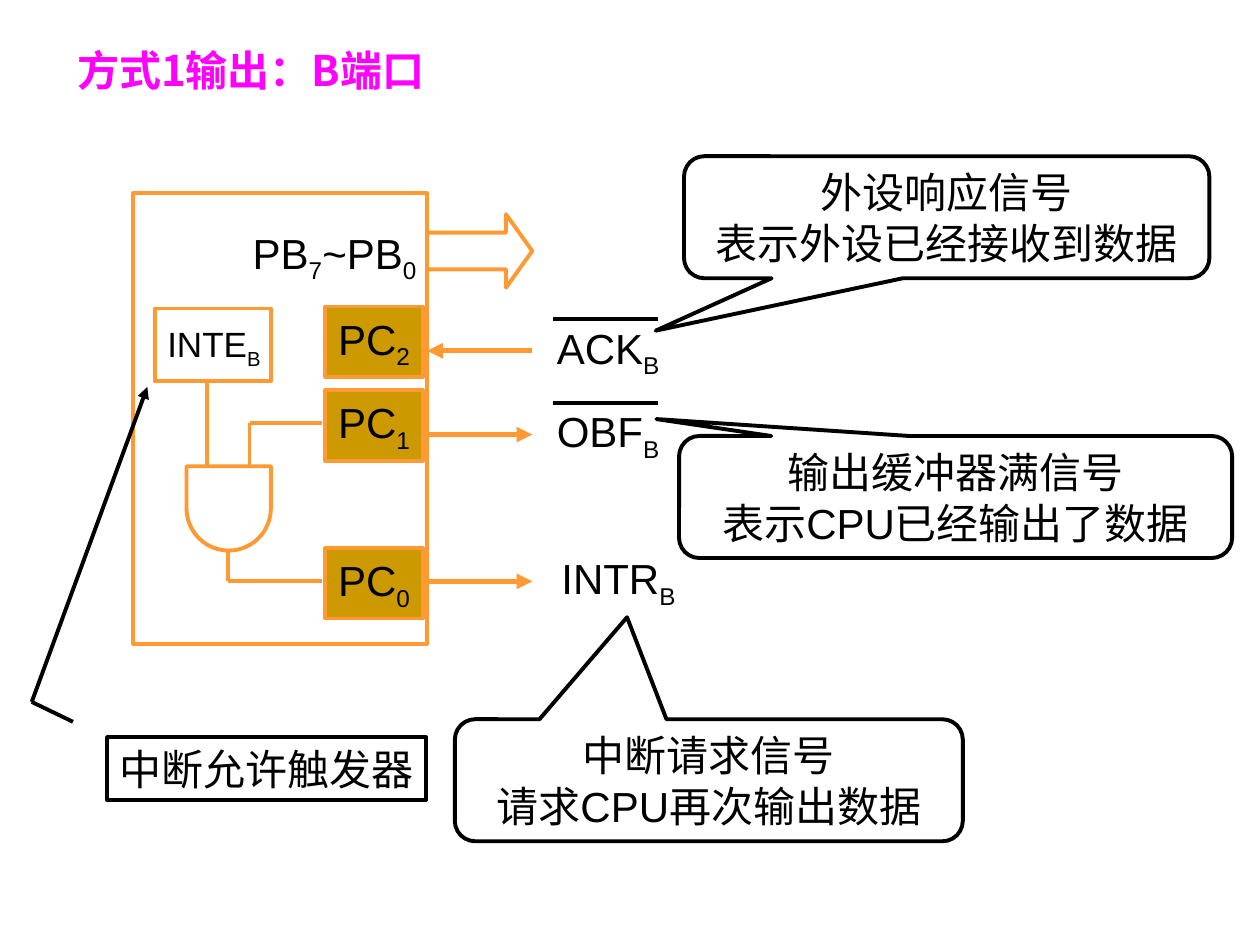
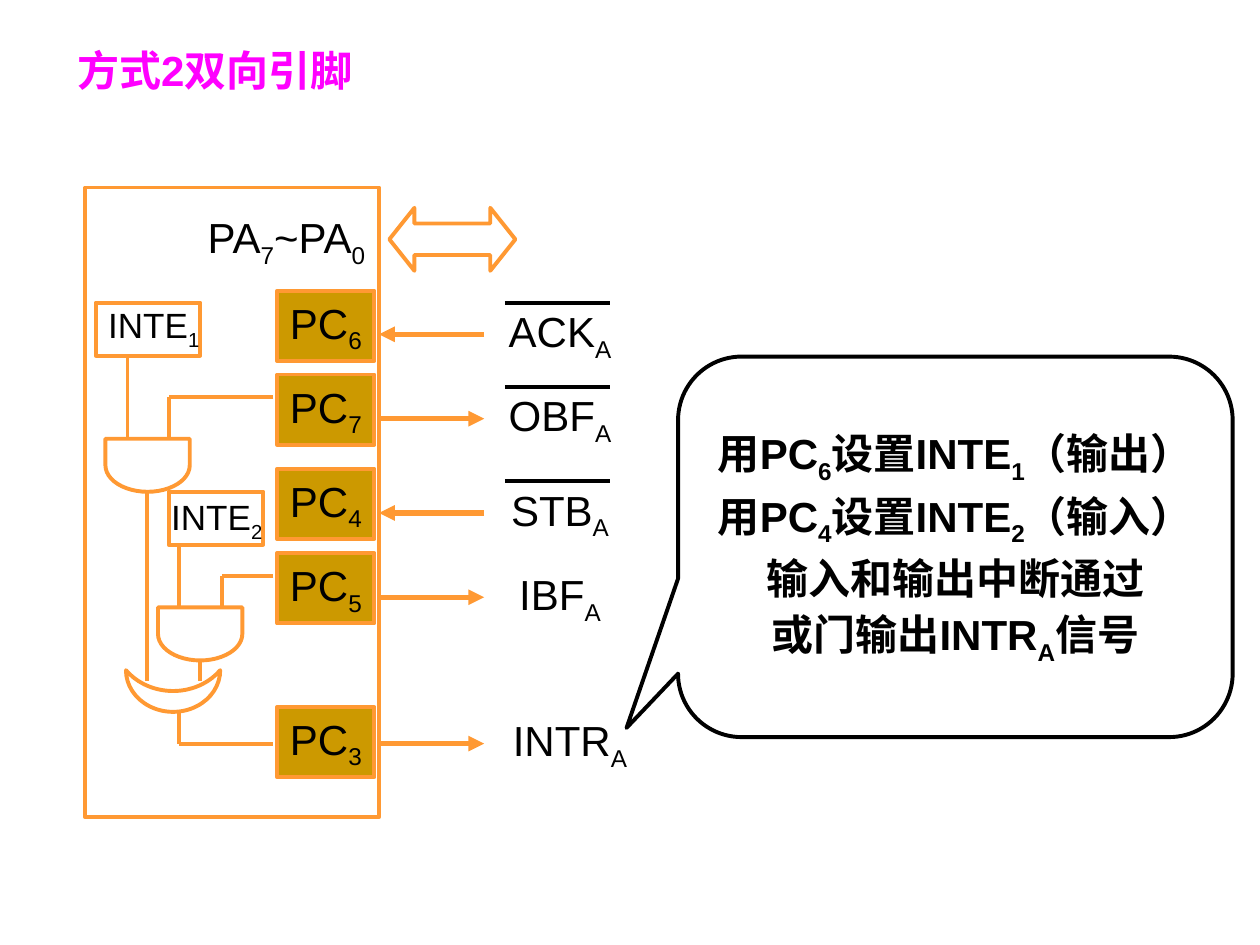
from dataclasses import dataclass
from itertools import pairwise

from lxml.etree import SubElement
from pptx import Presentation
from pptx.dml.color import RGBColor
from pptx.enum.shapes import MSO_CONNECTOR, MSO_SHAPE
from pptx.enum.text import MSO_ANCHOR, MSO_AUTO_SIZE, PP_ALIGN
from pptx.oxml.ns import qn
from pptx.util import Cm, Pt

ORANGE, GOLD, MAGENTA = "FF9933", "CC9900", "FF00FF"
BLACK, WHITE = "000000", "FFFFFF"
LATIN, CJK = "Arial", "Noto Sans CJK SC"

CHIP_W = 5.92
PIN_W, PIN_H = 1.96, 1.42
ARROW_LEN = 2.12


@dataclass
class Pin:
    name: str
    top: float
    signal: str
    y: float
    output: bool
    barred: bool = False
    label_x: float = 3.65


@dataclass
class Port:
    title: str
    title_w: float
    title_font: str
    right: float
    top: float
    height: float
    label: str
    label_top: float
    pins: list[Pin]


@dataclass
class Enable:
    """An interrupt-enable flip-flop: its frame and where its name sits."""
    name: str
    frame: tuple
    text_left: float
    text_top: float
    text_w: float = 2.34


@dataclass
class Callout:
    text: str
    box: tuple
    tip: tuple
    bold: bool = False
    wrap: bool = False
    gap: float = 0


def rgb(colour: str) -> RGBColor:
    return RGBColor.from_string(colour)


def write(tf, text: str, size=24, colour=BLACK, bold=False, font=LATIN,
          align=PP_ALIGN.CENTER, wrap=False, gap=0) -> None:
    """Fill a frame; the character after each underscore is a subscript."""
    tf.word_wrap = wrap
    tf.auto_size = MSO_AUTO_SIZE.NONE
    tf.vertical_anchor = MSO_ANCHOR.MIDDLE
    for i, line in enumerate(text.split("\n")):
        p = tf.add_paragraph() if i else tf.paragraphs[0]
        p.alignment = align
        p.space_before = Pt(gap if i else 0)
        first, *rest = line.split("_")
        pieces = [(first, False)]
        for part in rest:
            pieces += [(part[0], True), (part[1:], False)]
        for piece, is_sub in pieces:
            if not piece:
                continue
            r = p.add_run()
            r.text = piece
            r.font.size, r.font.bold, r.font.name = Pt(size), bold, font
            r.font.color.rgb = rgb(colour)
            rPr = r._r.get_or_add_rPr()
            SubElement(rPr, qn("a:ea"), typeface=CJK)
            if is_sub:
                rPr.set("baseline", "-25000")


def add_shape(s, kind, box: tuple, line=ORANGE, fill=None, rotation=0, adj=()):
    sp = s.shapes.add_shape(kind, *map(Cm, box))
    sp.shadow.inherit = False
    sp.rotation = rotation
    for i, value in enumerate(adj):
        sp.adjustments[i] = value
    if fill:
        sp.fill.solid()
        sp.fill.fore_color.rgb = rgb(fill)
    else:
        sp.fill.background()
    sp.line.color.rgb = rgb(line)
    sp.line.width = Pt(2.25)
    return sp


def add_label(s, text: str, box: tuple, **fmt) -> None:
    write(s.shapes.add_textbox(*map(Cm, box)).text_frame, text, **fmt)


def add_wire(s, *points: tuple, colour=ORANGE, width=2.25, arrow=False) -> None:
    """Join the points by straight lines, with an arrowhead on the last if asked."""
    for start, end in pairwise(points):
        c = s.shapes.add_connector(MSO_CONNECTOR.STRAIGHT, *map(Cm, start + end))
        c.line.color.rgb = rgb(colour)
        c.line.width = Pt(width)
        spPr = c._element.spPr
        if arrow and end == points[-1]:
            SubElement(spPr.find(qn("a:ln")), qn("a:tailEnd"), type="triangle")
        SubElement(spPr, qn("a:effectLst"))


def add_pin(s, pin: Pin, right: float) -> None:
    box = add_shape(s, MSO_SHAPE.RECTANGLE, (right - 2.05, pin.top, PIN_W, PIN_H), fill=GOLD)
    write(box.text_frame, pin.name)
    ends = [(right, pin.y), (right + ARROW_LEN, pin.y)]
    add_wire(s, *(ends if pin.output else reversed(ends)), width=3, arrow=True)
    add_label(s, pin.signal, (right + pin.label_x - 1.4, pin.y - 0.71, 2.8, PIN_H))
    if pin.barred:
        bar_y = pin.y - 0.64
        add_wire(s, (right + 2.54, bar_y), (right + 4.65, bar_y), colour=BLACK)


def add_port_slide(prs, port: Port):
    """Add a slide with its title, the chip outline and the pins with their signals."""
    s = prs.slides.add_slide(prs.slide_layouts[5])
    title = s.shapes.title
    title.left, title.top, title.width, title.height = map(Cm, (1.3, 0.71, port.title_w, 1.4))
    write(title.text_frame, port.title, colour=MAGENTA, bold=True, font=port.title_font,
          align=PP_ALIGN.JUSTIFY, wrap=True)
    add_shape(s, MSO_SHAPE.RECTANGLE, (port.right - CHIP_W, port.top, CHIP_W, port.height), fill=WHITE)
    add_label(s, port.label, (port.right - 3.77, port.label_top, 3.81, PIN_H))
    for pin in port.pins:
        add_pin(s, pin, port.right)
    return s


def add_enable(s, enable: Enable) -> None:
    add_shape(s, MSO_SHAPE.RECTANGLE, enable.frame)
    add_label(s, enable.name, (enable.text_left, enable.text_top, enable.text_w, 1.22), size=20)


def add_and_gate(s, left: float, top: float, depth: float) -> None:
    add_shape(s, MSO_SHAPE.FLOWCHART_DELAY, (left, top, depth, 1.7), rotation=90)


def add_callout(s, callout: Callout) -> None:
    sp = add_shape(s, MSO_SHAPE.ROUNDED_RECTANGULAR_CALLOUT, callout.box, line=BLACK,
                   adj=(*callout.tip, 0.167))
    write(sp.text_frame, callout.text, bold=callout.bold, wrap=callout.wrap, gap=callout.gap)


PORT_B = Port("方式1输出：B端口", 15.06, CJK, 8.61, 3.89, 9.09, "PB_7~PB_0", 4.45, [
    Pin("PC_2", 6.18, "ACK_B", 7.07, output=False, barred=True),
    Pin("PC_1", 7.87, "OBF_B", 8.76, output=True, barred=True),
    Pin("PC_0", 11.05, "INTR_B", 11.72, output=True, label_x=3.86),
])
PORT_A = Port("方式2双向引脚", 10.59, LATIN, 7.64, 3.78, 12.7, "PA_7~PA_0", 4.14, [
    Pin("PC_6", 5.86, "ACK_A", 6.74, output=False, barred=True),
    Pin("PC_7", 7.55, "OBF_A", 8.44, output=True, barred=True),
    Pin("PC_4", 9.45, "STB_A", 10.34, output=False, barred=True),
    Pin("PC_5", 11.15, "IBF_A", 12.04, output=True),
    Pin("PC_3", 14.25, "INTR_A", 14.99, output=True, label_x=3.85),
])
CALLOUTS_B = [
    Callout("外设响应信号\n表示外设已经接收到数据", (13.79, 3.15, 10.59, 2.46), (-0.554, 0.93)),
    Callout("输出缓冲器满信号\n表示CPU已经输出了数据", (13.69, 8.79, 11.15, 2.46), (-0.541, -0.639)),
    Callout("中断请求信号\n请求CPU再次输出数据", (9.17, 14.5, 10.24, 2.46), (-0.161, -1.336)),
]
CALLOUT_A = Callout(
    "用PC_6设置INTE_1（输出）\n用PC_4设置INTE_2（输入）\n输入和输出中断通过\n或门输出INTR_A信号",
    (13.67, 7.19, 11.18, 7.67), (-0.593, 0.476), bold=True, wrap=True, gap=3)


def build_output_slide(prs) -> None:
    s = add_port_slide(prs, PORT_B)
    add_shape(s, MSO_SHAPE.RIGHT_ARROW, (8.61, 4.32, 2.12, 1.48), adj=(0.5, 0.357))
    add_enable(s, Enable("INTE_B", (3.12, 6.22, 2.34, 1.47), 3.12, 6.38, 2.39))
    add_and_gate(s, 3.76, 9.4, 1.7)
    add_wire(s, (4.17, 7.7), (4.17, 9.4))
    add_wire(s, (6.5, 8.53), (5.03, 8.53), (5.03, 9.4))
    add_wire(s, (4.6, 11.07), (4.6, 11.72), (6.5, 11.72))
    for callout in CALLOUTS_B:
        add_callout(s, callout)
    trigger = add_shape(s, MSO_SHAPE.RECTANGLE, (2.16, 14.86, 6.43, 1.27), line=BLACK)
    write(trigger.text_frame, "中断允许触发器", align=PP_ALIGN.LEFT)
    add_wire(s, (1.47, 14.55), (0.64, 14.15), (2.97, 7.8), colour=BLACK, arrow=True)


def build_bidirectional_slide(prs) -> None:
    s = add_port_slide(prs, PORT_A)
    add_shape(s, MSO_SHAPE.LEFT_RIGHT_ARROW, (7.85, 4.19, 2.54, 1.27), adj=(0.5, 0.398))
    add_enable(s, Enable("INTE_1", (1.93, 6.1, 2.11, 1.07), 1.93, 5.99))
    add_enable(s, Enable("INTE_2", (3.4, 9.91, 1.91, 1.07), 3.2, 9.86))
    add_and_gate(s, 2.44, 8.53, 1.07)
    add_and_gate(s, 3.5, 11.93, 1.07)
    add_shape(s, MSO_SHAPE.MOON, (3.07, 12.98, 0.84, 1.9), rotation=270)
    add_wire(s, (2.57, 7.16), (2.57, 8.86))
    add_wire(s, (5.51, 8.01), (3.4, 8.01), (3.4, 8.86))
    add_wire(s, (2.97, 9.91), (2.97, 13.72))
    add_wire(s, (3.61, 10.97), (3.61, 12.24))
    add_wire(s, (5.51, 11.61), (4.47, 11.61), (4.47, 12.24))
    add_wire(s, (4.04, 13.31), (4.04, 13.72))
    add_wire(s, (3.61, 14.35), (3.61, 14.99), (5.51, 14.99))
    add_callout(s, CALLOUT_A)


def main() -> None:
    prs = Presentation()
    prs.slide_width, prs.slide_height = Cm(25.4), Cm(19.05)
    build_output_slide(prs)
    build_bidirectional_slide(prs)
    prs.save("out.pptx")


if __name__ == "__main__":
    main()
